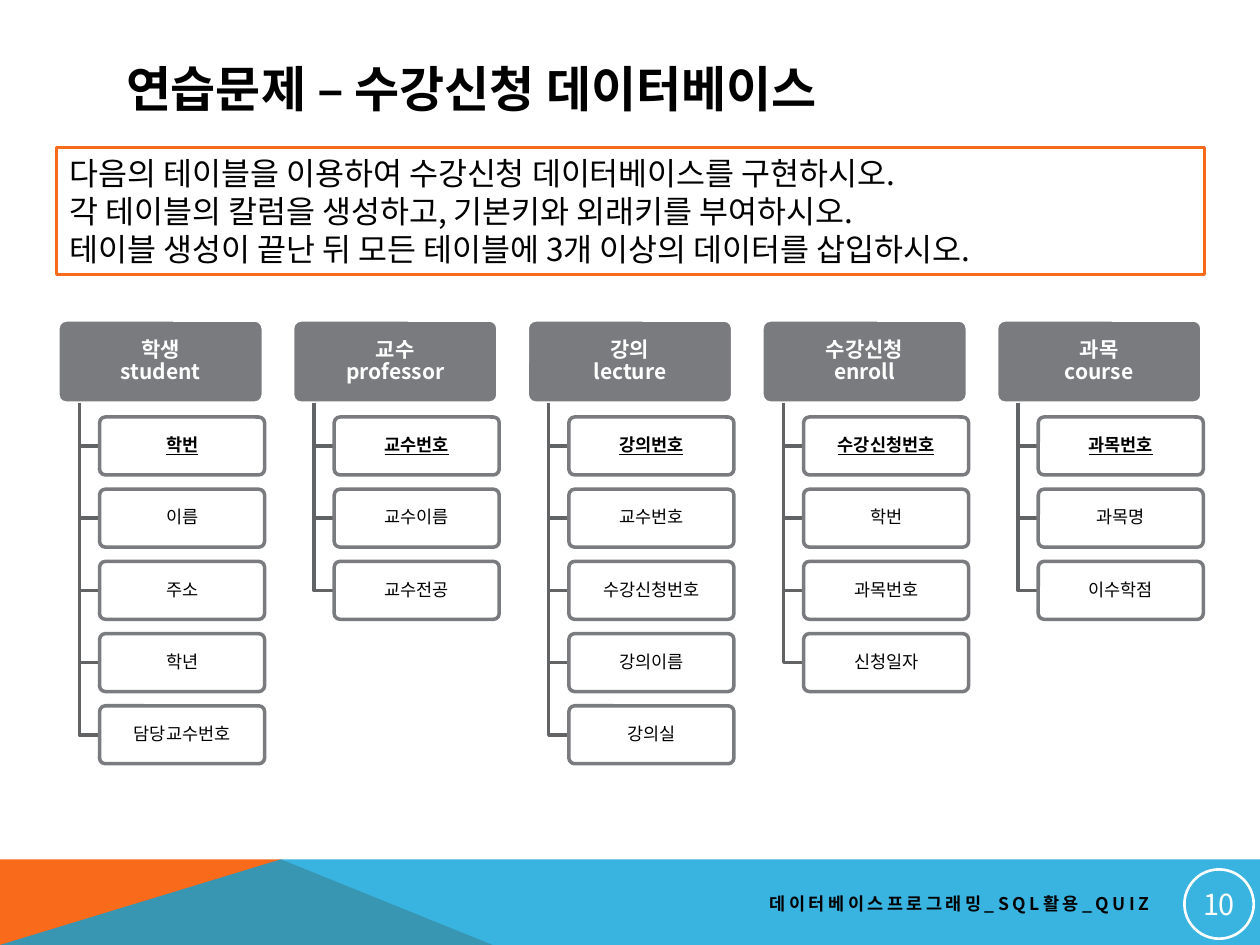
import copy

import pptx
import pptx.dml.color
import pptx.enum.shapes
import pptx.enum.text
import pptx.oxml.ns
import pptx.util
from lxml import etree

Inches = pptx.util.Inches
Pt = pptx.util.Pt
RGBColor = pptx.dml.color.RGBColor
Align = pptx.enum.text.PP_ALIGN
Shape = pptx.enum.shapes.MSO_SHAPE
qn = pptx.oxml.ns.qn

FONT = "Noto Sans CJK KR"
BLACK = RGBColor(0x00, 0x00, 0x00)
WHITE = RGBColor(0xFF, 0xFF, 0xFF)
ORANGE = RGBColor(0xF9, 0x6A, 0x1B)
BLUE = RGBColor(0x08, 0xA1, 0xD9)
GREY = RGBColor(0x79, 0x7B, 0x7E)
DARK_GREY = RGBColor(0x61, 0x63, 0x65)

TABLES = [
    ("학생\vstudent", ["학번", "이름", "주소", "학년", "담당교수번호"]),
    ("교수\vprofessor", ["교수번호", "교수이름", "교수전공"]),
    ("강의\vlecture", ["강의번호", "교수번호", "수강신청번호", "강의이름", "강의실"]),
    ("수강신청\venroll", ["수강신청번호", "학번", "과목번호", "신청일자"]),
    ("과목\vcourse", ["과목번호", "과목명", "이수학점"]),
]
TASKS = [
    "다음의 테이블을 이용하여 수강신청 데이터베이스를 구현하시오.",
    "각 테이블의 칼럼을 생성하고, 기본키와 외래키를 부여하시오.",
    "테이블 생성이 끝난 뒤 모든 테이블에 3개 이상의 데이터를 삽입하시오.",
]


def write(shape, *lines, size, color=BLACK, bold=False, underline=False, align=Align.LEFT,
          margins=(0.1, 0.05), line_spacing=1.0, space_after=0, tracking=0):
    """Write each line as a paragraph; a vertical tab is a line break."""
    frame = shape.text_frame
    frame.word_wrap = True
    frame.vertical_anchor = pptx.enum.text.MSO_ANCHOR.MIDDLE
    frame.margin_left = frame.margin_right = Inches(margins[0])
    frame.margin_top = frame.margin_bottom = Inches(margins[1])
    frame.text = "\n".join(lines)
    for para in frame.paragraphs:
        para.alignment = align
        para.line_spacing = line_spacing
        para.space_before, para.space_after = Pt(0), Pt(space_after)
        for span in para.runs:
            span.font.name = FONT
            span.font.size = Pt(size)
            span.font.bold = bold
            span.font.underline = underline
            span.font.color.rgb = color
            props = span.font._element
            props.set("spc", str(tracking * 100))
            props.set("cap", "none")
            east_asian = etree.Element(qn("a:ea"), typeface=FONT)
            props.find(qn("a:latin")).addnext(east_asian)
            for line_break in para._p.findall(qn("a:br")):
                if line_break.find(qn("a:rPr")) is None:
                    line_break.append(copy.deepcopy(props))


def paint(shape, fill=None, line=None, width=2, opacity=100):
    """Set fill, opacity and outline, and drop the shadow."""
    shape.shadow.inherit = False
    if fill is None:
        shape.fill.background()
    else:
        shape.fill.solid()
        shape.fill.fore_color.rgb = fill
        if opacity < 100:
            color = shape._element.spPr.find(qn("a:solidFill"))[0]
            etree.SubElement(color, qn("a:alpha"), val=str(opacity * 1000))
    if line is None:
        shape.line.fill.background()
    else:
        shape.line.color.rgb = line
        shape.line.width = Pt(width)


deck = pptx.Presentation()
deck.slide_width, deck.slide_height = Inches(10), Inches(7.5)
page = deck.slides.add_slide(deck.slide_layouts[5])
shapes = page.shapes

# Footer band
band_top, peak, bottom, right = 6.82, 2.23, 7.5, 10
for outline, color, opacity in [
    ([(0, bottom), (0, band_top), (peak, band_top), (3.91, bottom)], ORANGE, 100),
    ([(0, bottom), (peak, band_top), (right, band_top), (right, bottom)], BLUE, 80),
]:
    points = [(Inches(x), Inches(y)) for x, y in outline]
    builder = shapes.build_freeform(*points[0])
    builder.add_line_segments(points[1:], close=True)
    paint(builder.convert_to_shape(), fill=color, opacity=opacity)

footer = shapes.add_textbox(Inches(3.58), Inches(7.02), Inches(5.64), Inches(0.3))
write(footer, "데이터베이스프로그래밍_SQL활용_QUIZ", size=10, bold=True, align=Align.RIGHT, tracking=2)
badge = shapes.add_shape(Shape.OVAL, Inches(9.4), Inches(6.9), Inches(0.55), Inches(0.55))
paint(badge, line=WHITE, width=1.5)
write(badge, "10", size=16.5, color=WHITE, align=Align.CENTER, margins=(0.01, 0.01))

# Title and task
title = shapes.title
title.left, title.top, title.width, title.height = map(Inches, (0.9, 0.4, 8.22, 0.6))
write(title, "연습문제 – 수강신청 데이터베이스", size=28, bold=True)
task_box = shapes.add_shape(Shape.RECTANGLE, Inches(0.45), Inches(1.17), Inches(9.11), Inches(1.01))
paint(task_box, fill=WHITE, line=ORANGE)
write(task_box, *TASKS, size=18)

# One column per table, one row per field
first_left, column_pitch = 0.46, 1.8625
head_top, head_width, head_height = 2.54, 1.63, 0.66
first_top, row_pitch = 3.31, 0.573
field_width, field_height = 1.31, 0.46
trunk_indent, field_indent = 0.17, 0.33

for column, (heading, fields) in enumerate(TABLES):
    left = first_left + column * column_pitch
    head = shapes.add_shape(Shape.ROUNDED_RECTANGLE, Inches(left), Inches(head_top),
                            Inches(head_width), Inches(head_height))
    head.adjustments[0] = 0.1
    paint(head, fill=GREY, line=WHITE)
    write(head, heading, size=12, color=WHITE, bold=True, align=Align.CENTER,
          margins=(0.05, 0.04), line_spacing=0.9, space_after=4.2)

    for row, field in enumerate(fields):
        top = first_top + row * row_pitch
        trunk, field_left = Inches(left + trunk_indent), Inches(left + field_indent)
        middle = Inches(top + field_height / 2)
        builder = shapes.build_freeform(trunk, Inches(head_top + head_height))
        builder.add_line_segments([(trunk, middle), (field_left, middle)], close=False)
        paint(builder.convert_to_shape(), line=DARK_GREY)

        box = shapes.add_shape(Shape.ROUNDED_RECTANGLE, field_left, Inches(top),
                               Inches(field_width), Inches(field_height))
        box.adjustments[0] = 0.1
        paint(box, fill=WHITE, line=GREY, opacity=90)
        is_key = row == 0
        write(box, field, size=10, bold=is_key, underline=is_key, align=Align.CENTER,
              margins=(0.03, 0.03), line_spacing=0.9, space_after=3.5)

deck.save("out.pptx")
